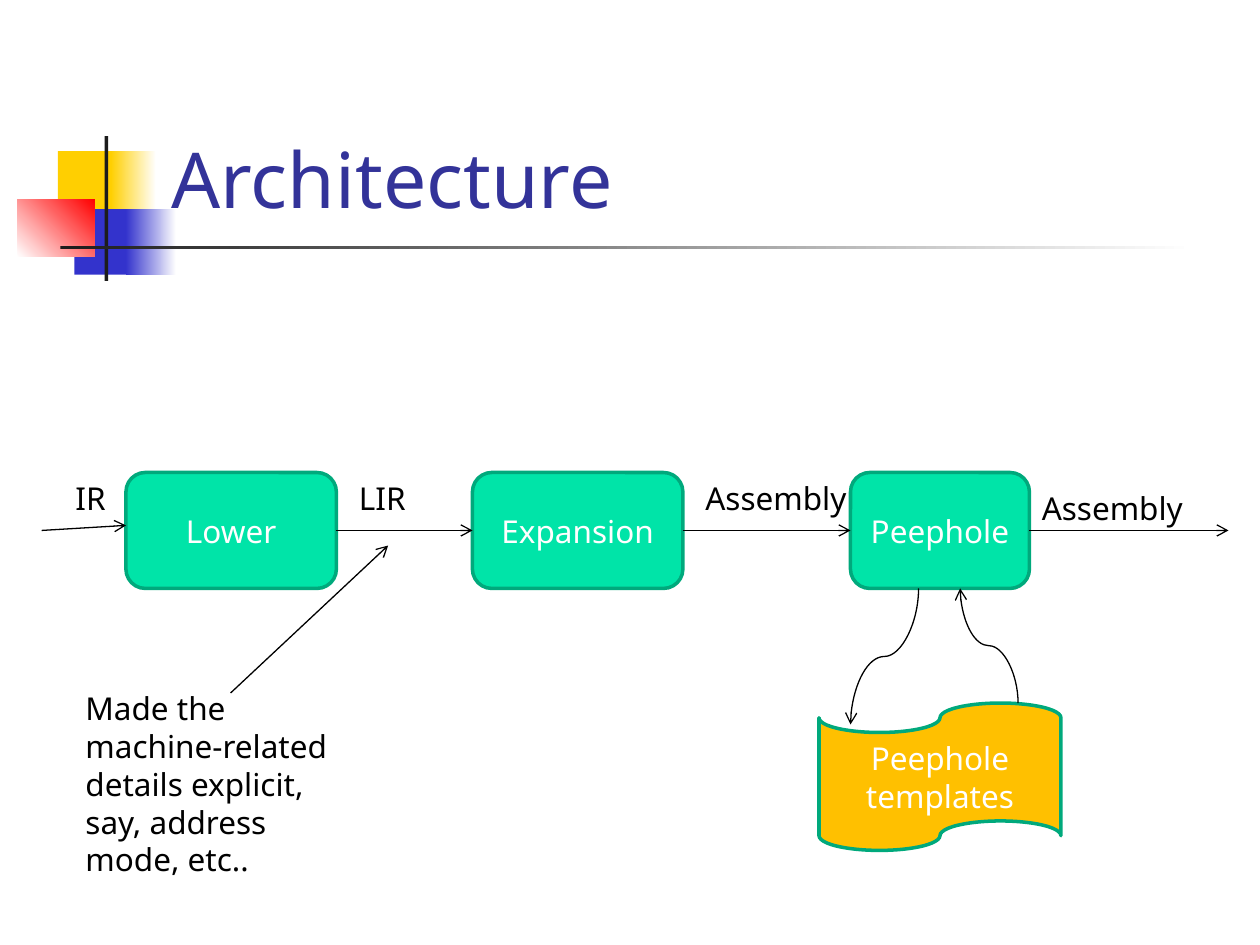
from pptx import Presentation
from pptx.dml.color import RGBColor
from pptx.enum.shapes import MSO_CONNECTOR as CONN, MSO_SHAPE as SHAPE
from pptx.enum.text import MSO_ANCHOR, MSO_AUTO_SIZE, PP_ALIGN
from pptx.oxml.ns import qn
from pptx.util import Inches, Pt
from lxml.etree import SubElement

FONT = "Noto Sans"
WHITE = RGBColor(0xFF, 0xFF, 0xFF)
BLACK = RGBColor(0, 0, 0)
TITLE_BLUE = RGBColor(0x33, 0x33, 0x99)
YELLOW = RGBColor(0xFF, 0xCF, 0x01)
BLUE = RGBColor(0x33, 0x33, 0xCC)
RED = RGBColor(0xFF, 0, 0)
DARK = RGBColor(0x1C, 0x1C, 0x1C)
GREEN = RGBColor(0, 0xE4, 0xA8)
GREEN_EDGE = RGBColor(0, 0xA9, 0x7C)
ORANGE = RGBColor(0xFF, 0xC0, 0)

# Content: positions are left, top, width, height in inches
DECORATION = [  # position, colours (two make a gradient), angle
    ((0.46, 1.2, 0.48, 0.52), (YELLOW,), 0),
    ((0.88, 1.2, 0.36, 0.52), (YELLOW, WHITE), 0),
    ((0.59, 1.66, 0.46, 0.52), (BLUE,), 0),
    ((1, 1.66, 0.4, 0.52), (BLUE, WHITE), 0),
    ((0.14, 1.58, 0.61, 0.46), (WHITE, RED), 45),
    ((0.83, 1.08, 0.03, 1.15), (DARK,), 0),
    ((0.48, 1.95, 9, 0.03), (DARK, WHITE), 0),
]
STAGE_TOP, STAGE_HEIGHT = 3.75, 0.92
STAGES = [("Lower", 1, 1.67), ("Expansion", 3.75, 1.67), ("Peephole", 6.75, 1.42)]
TEMPLATES = ("Peephole\ntemplates", (6.5, 5.58, 1.92, 1.17))
LABELS = [
    ("IR", (0.5, 3.75, 0.75, 0.4)),
    ("LIR", (2.75, 3.75, 0.83, 0.4)),
    ("Assembly", (5.5, 3.75, 1.42, 0.4)),
    ("Assembly", (8.17, 3.83, 1.33, 0.4)),
    ("Made the machine-related details explicit, say, address mode, etc..",
     (0.58, 5.42, 2.33, 1.31)),
]
INPUT_ARROW = ((0.33, 4.21), (1, 4.17))
NOTE_ARROW = ((1.83, 5.5), (3.08, 4.33))
OUTPUT_END = (9.75, 4.21)
CURVES = [((7.29, 4.67), (6.75, 5.75)), ((8.08, 5.58), (7.62, 4.67))]

prs = Presentation()
prs.slide_width, prs.slide_height = Inches(10), Inches(7.5)
s = prs.slides.add_slide(prs.slide_layouts[5])


def inches(values):
    return [Inches(v) for v in values]


def write(shape, text, color, size=18, align=PP_ALIGN.LEFT):
    tf = shape.text_frame
    tf.word_wrap = True
    tf.text = text
    for p in tf.paragraphs:
        p.alignment = align
        p.font.name, p.font.size, p.font.color.rgb = FONT, Pt(size), color


def add_box(kind, text, at, fill):
    sp = s.shapes.add_shape(kind, *inches(at))
    sp.shadow.inherit = False
    sp.fill.solid()
    sp.fill.fore_color.rgb = fill
    sp.line.color.rgb, sp.line.width = GREEN_EDGE, Pt(2)
    write(sp, text, WHITE, align=PP_ALIGN.CENTER)
    sp.text_frame.vertical_anchor = MSO_ANCHOR.MIDDLE
    return sp


def add_arrow(begin, end, kind=CONN.STRAIGHT):
    c = s.shapes.add_connector(kind, *inches((*begin, *end)))
    c.line.color.rgb, c.line.width = BLACK, Pt(0.75)
    SubElement(c.line._get_or_add_ln(), qn("a:tailEnd"), type="arrow")
    SubElement(c._element.spPr, qn("a:effectLst"))
    return c


def add_vertical_curve(begin, end):
    """Lay the curve on its side about its centre, then turn it upright."""
    (x1, y1), (x2, y2) = begin, end
    cx, cy = (x1 + x2) / 2, (y1 + y2) / 2
    turn = 1 if y2 > y1 else -1
    dx, dy = turn * (y1 - cy), turn * (cx - x1)
    c = add_arrow((cx + dx, cy + dy), (cx - dx, cy - dy), CONN.CURVE)
    c._element.spPr.find(qn("a:xfrm")).set("rot", str(turn * 90 % 360 * 60000))


# Corner decoration
for at, colors, angle in DECORATION:
    sp = s.shapes.add_shape(SHAPE.RECTANGLE, *inches(at))
    sp.shadow.inherit = False
    sp.line.fill.background()
    if len(colors) == 1:
        sp.fill.solid()
        sp.fill.fore_color.rgb = colors[0]
    else:
        sp.fill.gradient()
        sp.fill.gradient_angle = angle
        for stop, color in zip(sp.fill.gradient_stops, colors):
            stop.color.rgb = color

# Title, moved in front of the decoration
title = s.shapes.title
title.left, title.top, title.width, title.height = inches((1.26, 0.23, 8.52, 1.6))
write(title, "Architecture", TITLE_BLUE, 44)
title.text_frame.auto_size = MSO_AUTO_SIZE.NONE
title.text_frame.vertical_anchor = MSO_ANCHOR.BOTTOM
s.shapes._spTree.append(title._element)

# Stages and templates
stages = [add_box(SHAPE.ROUNDED_RECTANGLE, name, (left, STAGE_TOP, width, STAGE_HEIGHT), GREEN)
          for name, left, width in STAGES]
add_box(SHAPE.FLOWCHART_PUNCHED_TAPE, *TEMPLATES, ORANGE)

# Arrows
for source, target in zip(stages, stages[1:]):
    c = add_arrow((0, 0), (1, 1))
    c.begin_connect(source, 3)
    c.end_connect(target, 1)
add_arrow((8.17, 4.21), OUTPUT_END).begin_connect(stages[-1], 3)
add_arrow(*INPUT_ARROW)
add_arrow(*NOTE_ARROW)
for begin, end in CURVES:
    add_vertical_curve(begin, end)

# Labels
for text, at in LABELS:
    tb = s.shapes.add_textbox(*inches(at))
    write(tb, text, BLACK)
    tb.text_frame.auto_size = MSO_AUTO_SIZE.SHAPE_TO_FIT_TEXT

prs.save("out.pptx")
